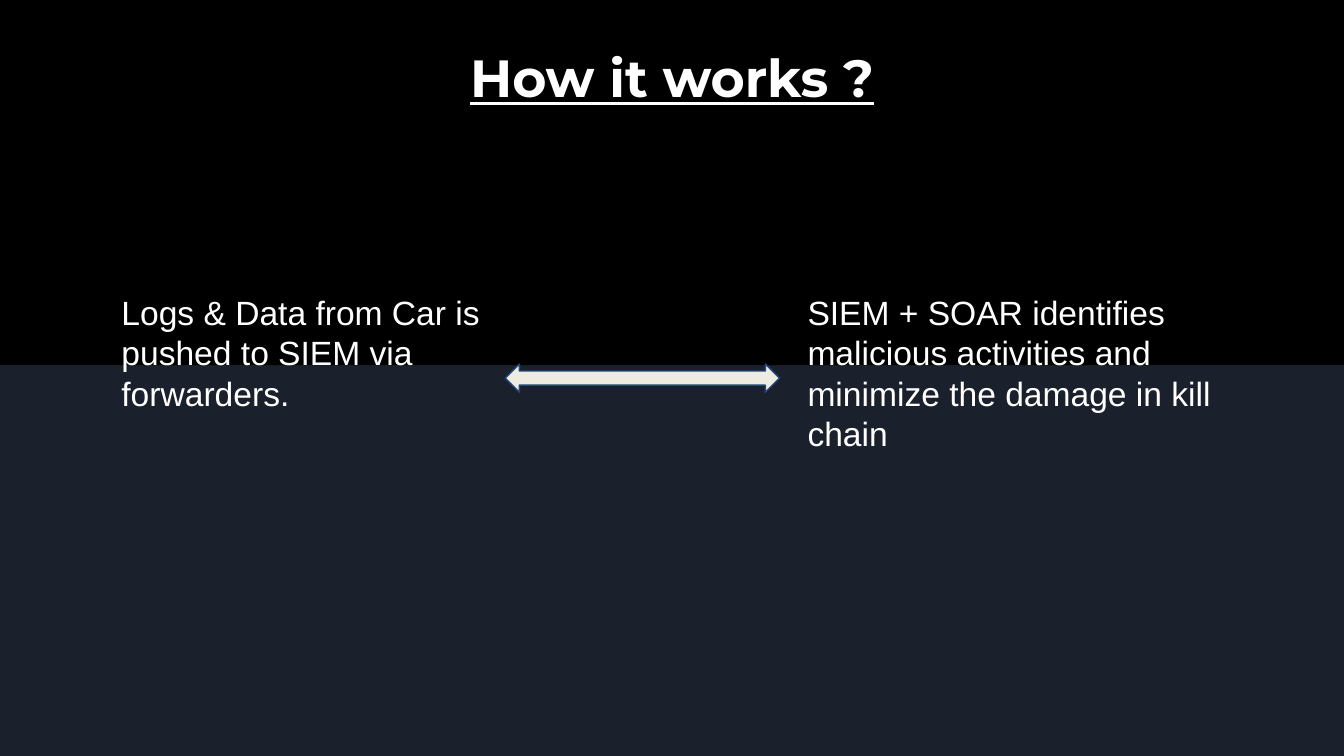
from typing import NamedTuple, Optional

from pptx import Presentation
from pptx import util as u
from pptx.dml.color import RGBColor
from pptx.enum import shapes, text

NAVY = RGBColor(0x1B, 0x21, 0x2C)
BLACK = RGBColor(0x00, 0x00, 0x00)
WHITE = RGBColor(0xFF, 0xFF, 0xFF)
CREAM = RGBColor(0xEE, 0xEC, 0xE1)
BLUE = RGBColor(0x1F, 0x49, 0x7D)

WIDTH = u.Inches(10)
HEIGHT = u.Emu(WIDTH * 9 // 16)
COL, ROW = WIDTH / 100, HEIGHT / 100


class Box(NamedTuple):
    """A rectangle in columns and rows of a 100 by 100 grid."""

    left: float
    top: float
    width: float
    height: float

    def emu(self) -> tuple[int, int, int, int]:
        """Return the rectangle in slide units."""
        return (int(self.left * COL), int(self.top * ROW),
                int(self.width * COL), int(self.height * ROW))


class Step(NamedTuple):
    """One stage of the log flow."""

    wording: str
    box: Box


TITLE = Box(3.4, 4.27, 93.2, 90.3)
BAND = Box(0, 0, 100.2, 48.3)
ARROW = Box(37.6, 48.15, 20.4, 3.73)
STEPS = (
    Step("Logs & Data from Car is pushed to SIEM via forwarders.",
         Box(8.05, 36.83, 34.1, 62)),
    Step("SIEM + SOAR identifies malicious activities and minimize "
         "the damage in kill chain",
         Box(59.1, 36.83, 36.2, 62)),
)


def add_text(s, wording: str, box: Box, *, size: float = 18, font: str = "Arial",
             bold: bool = False, underline: bool = False,
             align=text.PP_ALIGN.LEFT) -> None:
    """Add a wrapped white text box."""
    tf = s.shapes.add_textbox(*box.emu()).text_frame
    tf.word_wrap = True
    tf.vertical_anchor = text.MSO_ANCHOR.TOP
    tf.margin_left = tf.margin_right = u.Inches(0.1)
    tf.margin_top = tf.margin_bottom = u.Inches(0.1)
    p = tf.paragraphs[0]
    p.alignment = align
    r = p.add_run()
    r.text = wording
    r.font.name = font
    r.font.size = u.Pt(size)
    r.font.bold = bold
    r.font.underline = underline
    r.font.color.rgb = WHITE


def add_shape(s, kind, box: Box, fill: RGBColor,
              line: Optional[RGBColor] = None) -> None:
    """Add a filled preset shape with an optional thin outline."""
    sp = s.shapes.add_shape(kind, *box.emu())
    sp.shadow.inherit = False
    sp.fill.solid()
    sp.fill.fore_color.rgb = fill
    if line is None:
        sp.line.fill.background()
    else:
        sp.line.color.rgb = line
        sp.line.width = u.Pt(0.75)


def main() -> None:
    """Build and save the slide."""
    prs = Presentation()
    prs.slide_width, prs.slide_height = WIDTH, HEIGHT
    s = prs.slides.add_slide(prs.slide_layouts[6])
    s.background.fill.solid()
    s.background.fill.fore_color.rgb = NAVY

    add_shape(s, shapes.MSO_SHAPE.RECTANGLE, BAND, BLACK)
    add_text(s, "How it works ?", TITLE, size=28, font="Montserrat",
             bold=True, underline=True, align=text.PP_ALIGN.CENTER)
    for step in STEPS:
        add_text(s, step.wording, step.box)
    add_shape(s, shapes.MSO_SHAPE.LEFT_RIGHT_ARROW, ARROW, CREAM, BLUE)

    prs.save("out.pptx")


if __name__ == "__main__":
    main()
